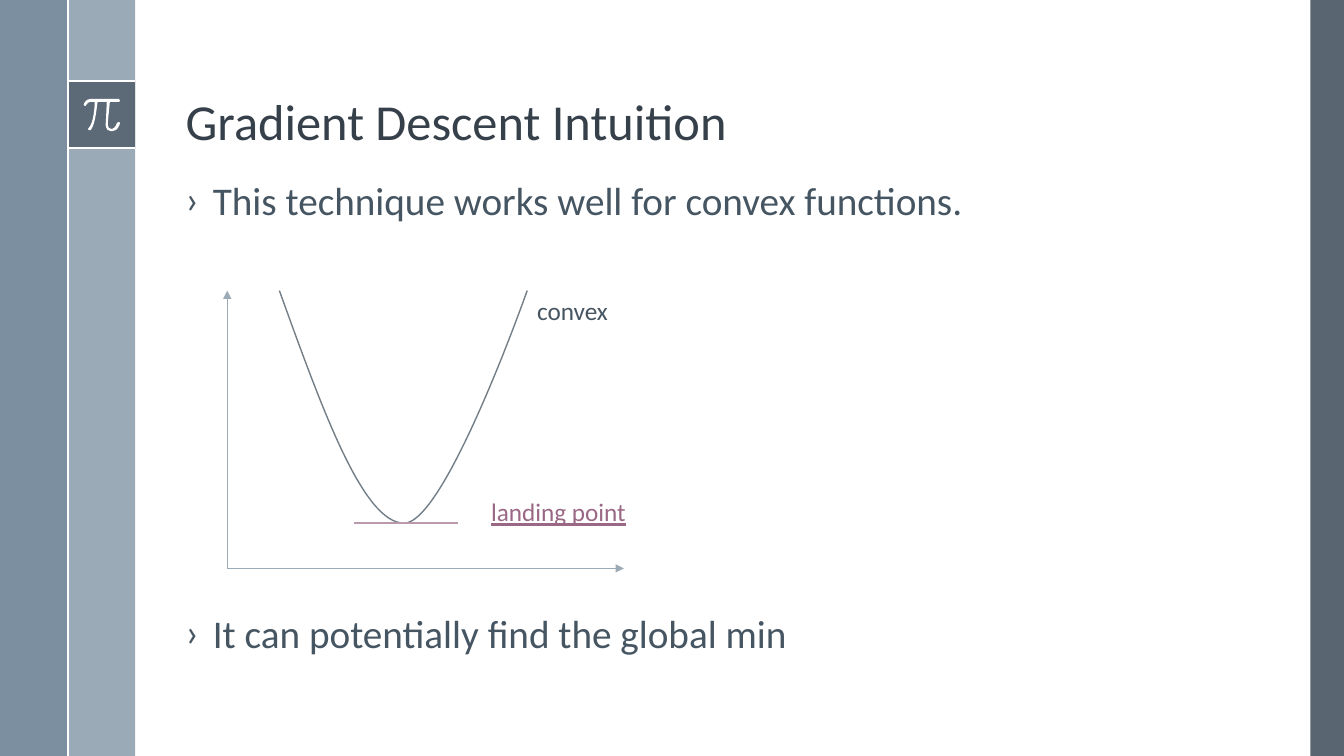
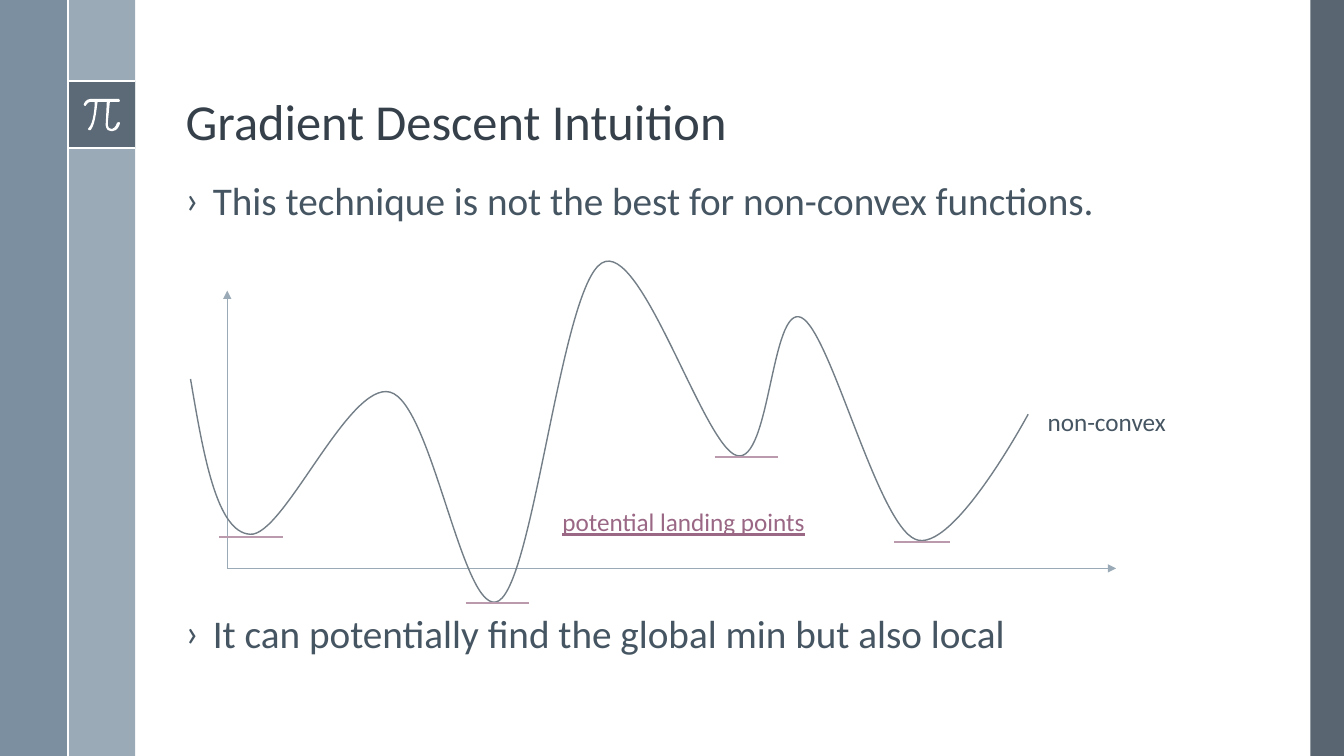
from lxml import etree
from pptx import Presentation
from pptx.dml.color import RGBColor
from pptx.enum.shapes import MSO_CONNECTOR, MSO_SHAPE
from pptx.enum.text import MSO_ANCHOR
from pptx.oxml.ns import qn
from pptx.util import Pt

RECTANGLE = MSO_SHAPE.RECTANGLE
STRAIGHT = MSO_CONNECTOR.STRAIGHT
BOTTOM = MSO_ANCHOR.BOTTOM
TOP = MSO_ANCHOR.TOP

WHITE = RGBColor(0xFF, 0xFF, 0xFF)
SLATE = RGBColor(0x47, 0x55, 0x62)
STEEL = RGBColor(0x6A, 0x80, 0x93)
MIST = RGBColor(0x9B, 0xAA, 0xB7)
TITLE_INK = RGBColor(0x35, 0x40, 0x4A)
BODY_INK = RGBColor(0x46, 0x55, 0x62)
CURVE_INK = RGBColor(0x73, 0x7E, 0x87)
PLUM = RGBColor(0x9A, 0x67, 0x85)
TANGENT_INK = RGBColor(0xBC, 0x9A, 0xAE)

FONT = "Calibri"
SLIDE_W, SLIDE_H = 960, 540
BAND = 48.3
TILE_TOP = 58
TEXT_LEFT, TEXT_W = 125.6, 770.4
BULLET_INDENT = 19.4
BULLET_GAP = 279
ORIGIN_X, ORIGIN_Y, AXIS_TOP = 162.3, 406, 207.6

# Outlines: a start point, then segments of one point (line) or three (cubic curve).
PI_SIGN = [
    (85, 70.6),
    [(64.8, 70.6)],
    [(61.2, 70.6), (59.8, 74.2), (59.8, 74.9)],
    [(59.8, 74.9), (59.8, 75.6), (60.5, 75.6)],
    [(61.2, 75.6)],
    [(61.2, 75.6), (62.6, 72.7), (64.8, 72.7)],
    [(67.7, 72.7)],
    [(67.7, 75.6), (67, 87.8), (63.4, 91.4)],
    [(62.6, 92.2), (62.6, 92.2), (63.4, 92.9)],
    [(64.8, 92.9)],
    [(68.4, 88.6), (69.1, 75.6), (69.8, 72.7)],
    [(76.3, 72.7)],
    [(75.6, 87.8)],
    [(75.6, 87.8), (74.9, 90.7), (77, 92.9)],
    [(77.8, 93.6), (78.5, 93.6), (79.2, 93.6)],
    [(80.6, 93.6)],
    [(84.2, 93.6), (85.7, 88.6), (85.7, 87.8)],
    [(85, 87.1)],
    [(83.5, 87.8)],
    [(83.5, 87.8), (82.8, 91.4), (79.9, 92.2)],
    [(79.2, 92.2), (78.5, 92.2), (77.8, 91.4)],
    [(77, 90.7), (77, 88.6), (77, 87.8)],
    [(78.5, 72.7)],
    [(85, 72.7)],
    [(85.7, 72)],
]
CONVEX = [
    (199.6, 207.6),
    [(229.7, 290.9), (259.2, 373.7), (288.7, 373.7)],
    [(318.2, 373.7), (376.6, 207.6), (376.6, 207.6)],
]
NON_CONVEX = [
    (136.1, 270.7),
    [(145.4, 325.4), (154.8, 380.2), (178.6, 381.6)],
    [(202.3, 383.8), (249.1, 272.2), (278.6, 280.1)],
    [(308.9, 288), (331.2, 444.2), (356.4, 429.1)],
    [(381.6, 413.3), (401, 205.2), (429.8, 187.9)],
    [(457.9, 170.6), (502.6, 319), (526.3, 325.4)],
    [(550.1, 331.9), (550.8, 216.7), (572.4, 226.8)],
    [(593.3, 236.9), (626.4, 373.7), (653.8, 385.2)],
    [(680.4, 396.7), (734.4, 295.9), (734.4, 295.9)],
]

# Each tangent is left, right, height; each label is text, left, top, width, colour, underline.
SLIDES = [
    {
        "bullets": ["This technique works well for convex functions.",
                    "It can potentially find the global min"],
        "axis_end": 445.7,
        "curve": CONVEX,
        "tangents": [(252.7, 326.9, 373.7)],
        "labels": [("landing point", 343.7, 351, 347, PLUM, True),
                   ("convex", 376.6, 207.4, 96.5, BODY_INK, False)],
    },
    {
        "bullets": ["This technique is not the best for non-convex functions.",
                    "It can potentially find the global min but also local"],
        "axis_end": 797.3,
        "curve": NON_CONVEX,
        "tangents": [(510.5, 556, 326.6), (156.7, 202.3, 383.3),
                     (332.6, 378, 431), (638.6, 678.5, 387.2)],
        "labels": [("potential landing points", 394.6, 358.2, 347, PLUM, True),
                   ("non-convex", 741.2, 286.9, 113, BODY_INK, False)],
    },
]


def add_band(slide, left, top, width, height, color, opacity=100):
    band = slide.shapes.add_shape(RECTANGLE, Pt(left), Pt(top), Pt(width), Pt(height))
    band.shadow.inherit = False
    band.fill.solid()
    band.fill.fore_color.rgb = color
    band.line.fill.background()
    if opacity < 100:
        color_xml = band._element.spPr.find(".//" + qn("a:srgbClr"))
        etree.SubElement(color_xml, qn("a:alpha")).set("val", str(opacity * 1000))


def add_line(slide, start, end, color, width, arrow=False):
    connector = slide.shapes.add_connector(STRAIGHT, *map(Pt, start + end))
    connector.line.color.rgb = color
    connector.line.width = Pt(width)
    properties = connector._element.spPr
    if arrow:
        stroke = properties.find(qn("a:ln"))
        etree.SubElement(stroke, qn("a:tailEnd")).set("type", "triangle")
    etree.SubElement(properties, qn("a:effectLst"))


def bend(line_step, controls, left, top):
    """Turn a straight step of a freeform into a cubic curve."""
    curve_step = etree.Element(qn("a:cubicBezTo"))
    for x, y in controls:
        point = etree.SubElement(curve_step, qn("a:pt"))
        point.set("x", str(Pt(x) - left))
        point.set("y", str(Pt(y) - top))
    line_step.getparent().replace(line_step, curve_step)


def add_outline(slide, outline, close):
    start, *segments = outline
    builder = slide.shapes.build_freeform(Pt(start[0]), Pt(start[1]), scale=1.0)
    ends = [(Pt(x), Pt(y)) for x, y in (segment[-1] for segment in segments)]
    builder.add_line_segments(ends, close=close)
    shape = builder.convert_to_shape()
    shape.shadow.inherit = False
    line_steps = shape._element.spPr.findall(".//" + qn("a:lnTo"))
    for line_step, segment in zip(line_steps, segments):
        if len(segment) == 3:
            bend(line_step, segment, shape.left, shape.top)
    return shape


def add_curve(slide, outline):
    curve = add_outline(slide, outline, close=False)
    curve.fill.background()
    curve.line.color.rgb = CURVE_INK
    curve.line.width = Pt(1)


def add_pi_sign(slide):
    sign = add_outline(slide, PI_SIGN, close=True)
    sign.fill.solid()
    sign.fill.fore_color.rgb = WHITE
    sign.line.fill.background()


def add_text_frame(slide, left, top, width, height, anchor=TOP):
    frame = slide.shapes.add_textbox(Pt(left), Pt(top), Pt(width), Pt(height)).text_frame
    frame.word_wrap = True
    frame.vertical_anchor = anchor
    return frame


def write(paragraph, text, size, color, underline=None):
    paragraph.text = text
    font = paragraph.runs[0].font
    font.name = FONT
    font.size = Pt(size)
    font.color.rgb = color
    font.underline = underline


def add_title(slide, text):
    title = add_text_frame(slide, TEXT_LEFT, 13.7, TEXT_W, 97.9, BOTTOM).paragraphs[0]
    title.line_spacing = 0.9
    write(title, text, 36, TITLE_INK)


def add_bullets(slide, bullets):
    """Write the bullets in one box, leaving room for the graph between them."""
    frame = add_text_frame(slide, TEXT_LEFT, 126, TEXT_W, 360)
    for index, text in enumerate(bullets):
        bullet = frame.add_paragraph() if index else frame.paragraphs[0]
        properties = bullet._p.get_or_add_pPr()
        properties.set("marL", str(Pt(BULLET_INDENT)))
        properties.set("indent", str(-Pt(BULLET_INDENT)))
        etree.SubElement(properties, qn("a:buFont")).set("typeface", FONT)
        etree.SubElement(properties, qn("a:buChar")).set("char", "›")
        bullet.line_spacing = 0.9
        if index:
            bullet.space_before = Pt(BULLET_GAP)
        write(bullet, text, 28, BODY_INK)


def add_label(slide, text, left, top, width, color, underline):
    frame = add_text_frame(slide, left, top, width, 29)
    write(frame.paragraphs[0], text, 18, color, underline or None)


def add_frame(slide):
    """Draw the side bands and the pi tile that every slide carries."""
    add_band(slide, 936, 0, 24, SLIDE_H, SLATE, 90)
    add_band(slide, BAND, 0, BAND, SLIDE_H, MIST)
    add_band(slide, 0, 0, BAND, SLIDE_H, STEEL, 88)
    add_band(slide, BAND, TILE_TOP, BAND, 48, SLATE, 75)
    for y in (TILE_TOP, TILE_TOP + 48):
        add_line(slide, (BAND, y), (2 * BAND, y), WHITE, 1.5)
    add_pi_sign(slide)
    add_line(slide, (BAND, 0), (BAND, SLIDE_H), WHITE, 1.5)


def add_graph(slide, axis_end, curve, tangents, labels):
    for tip in ((axis_end, ORIGIN_Y), (ORIGIN_X, AXIS_TOP)):
        add_line(slide, (ORIGIN_X, ORIGIN_Y), tip, MIST, 0.5, arrow=True)
    add_curve(slide, curve)
    for left, right, y in tangents:
        add_line(slide, (left, y), (right, y), TANGENT_INK, 1.5)
    for label in labels:
        add_label(slide, *label)


def main():
    deck = Presentation()
    deck.slide_width, deck.slide_height = Pt(SLIDE_W), Pt(SLIDE_H)
    for content in SLIDES:
        slide = deck.slides.add_slide(deck.slide_layouts[6])
        add_frame(slide)
        add_title(slide, "Gradient Descent Intuition")
        add_bullets(slide, content["bullets"])
        add_graph(slide, content["axis_end"], content["curve"],
                  content["tangents"], content["labels"])
    deck.save("out.pptx")


if __name__ == "__main__":
    main()
